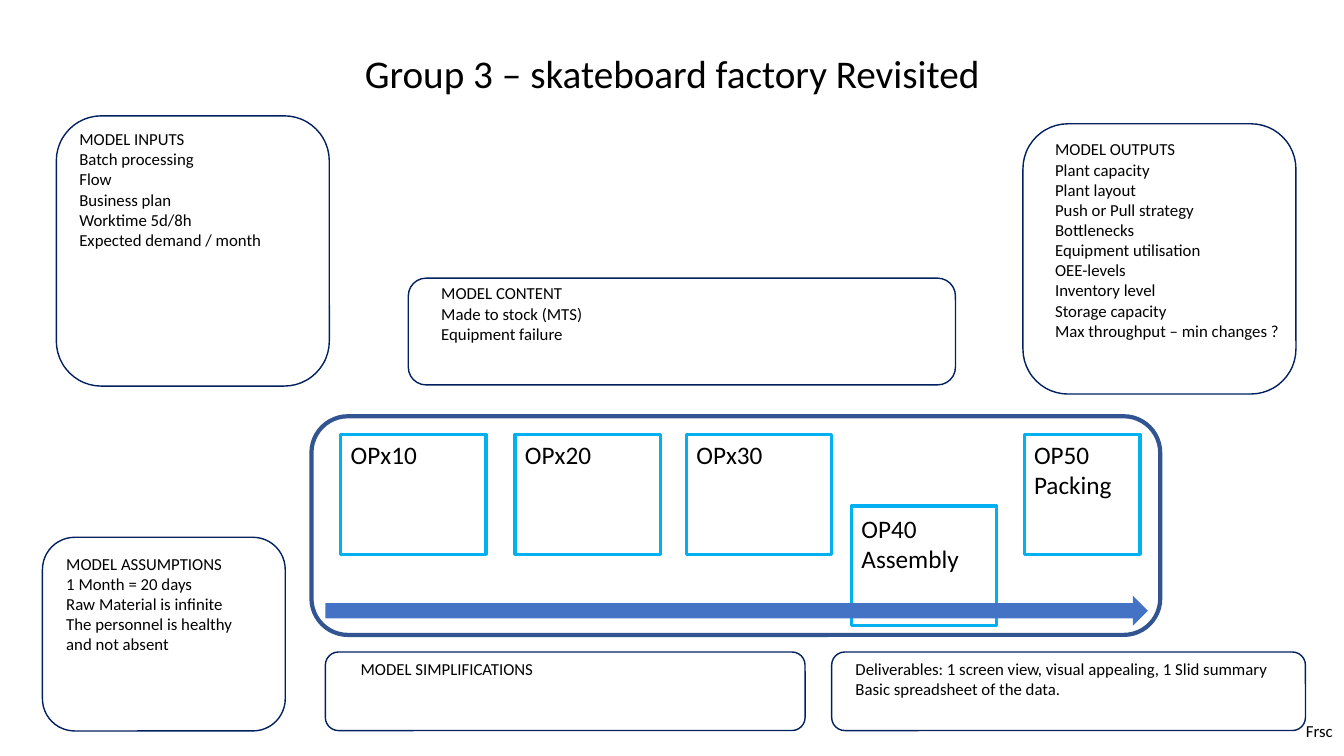
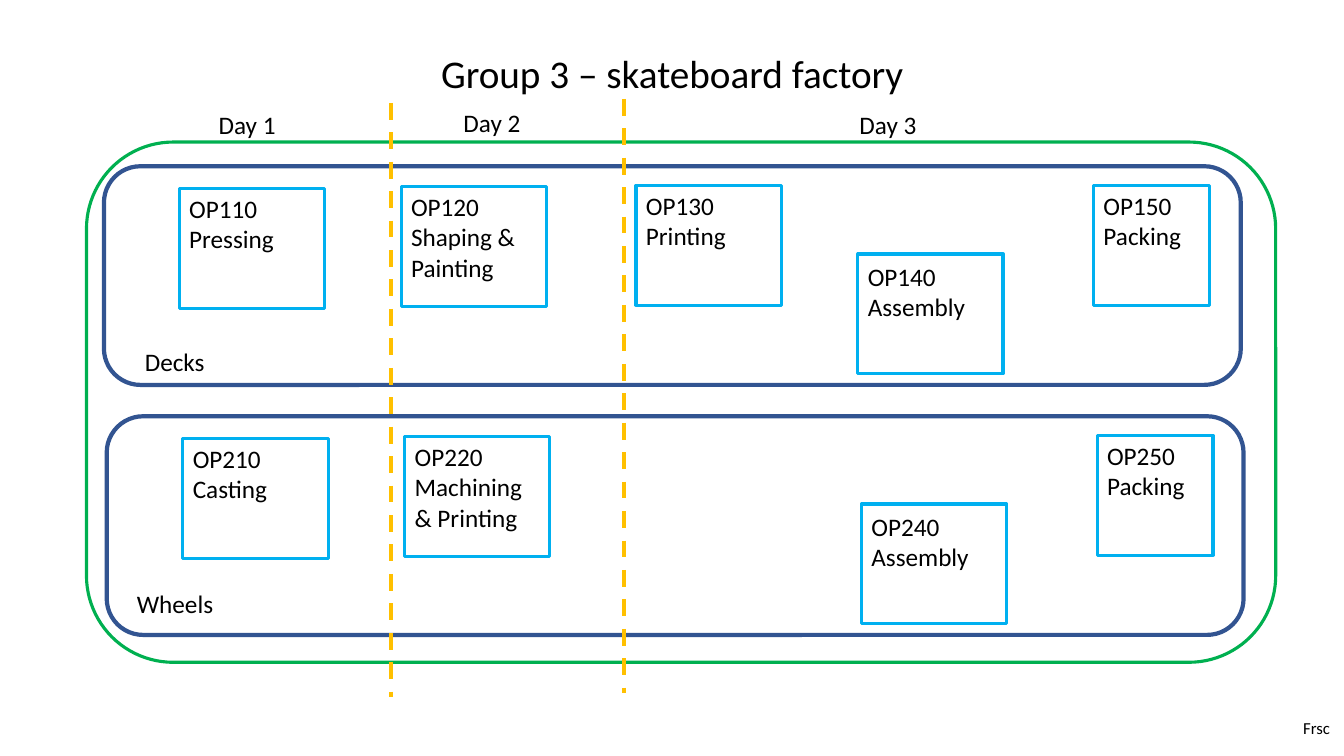
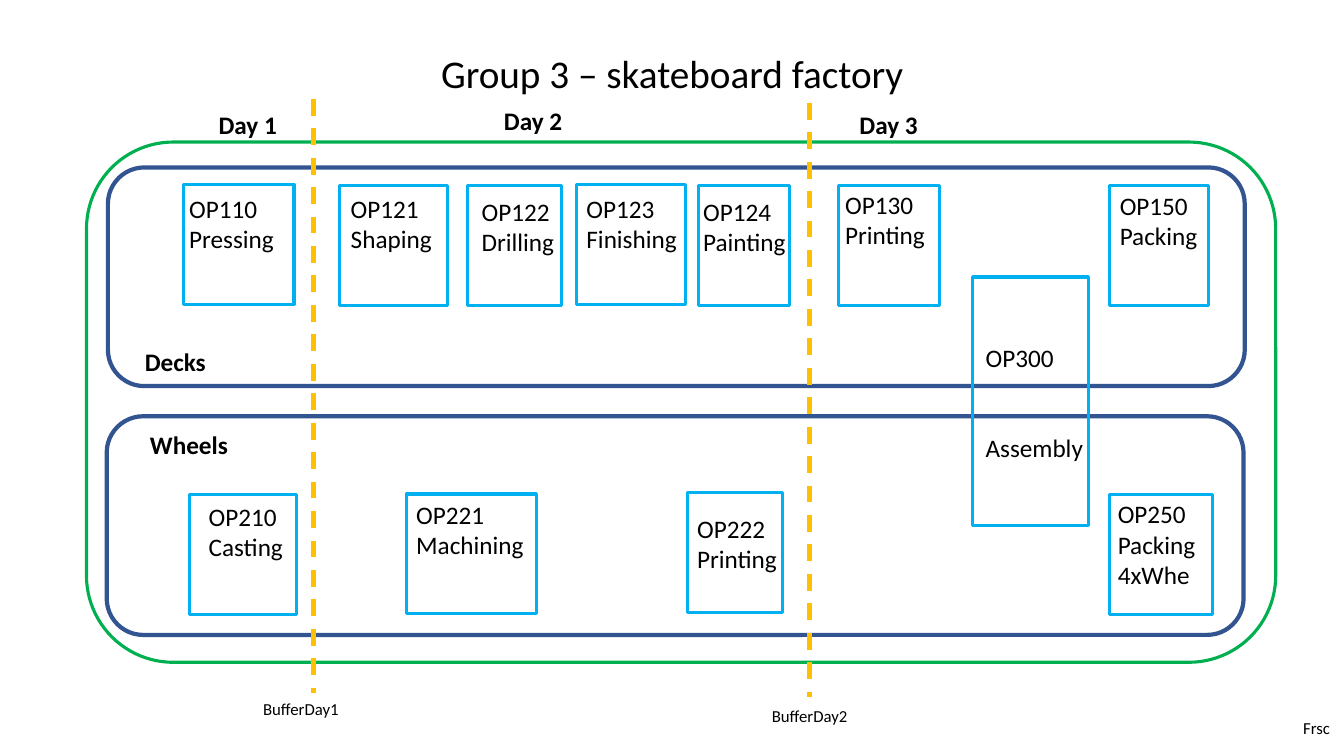
"""Build three slides on the skateboard factory: model, first plan, refined plan."""
from pptx import Presentation
from pptx import util as u
from pptx.dml.color import RGBColor
from pptx.enum import dml, shapes, text
from pptx.oxml.ns import qn
from lxml import etree

HUES = {"ink": "000000", "band": "325491", "step": "00B0F0", "panel": "002060",
        "plant": "00B050", "day": "FFC000", "flow": "4472C4"}
KIND = shapes.MSO_SHAPE
FONT = "Calibri"
HIGH = 3.02
DEEP = 5.51
TITLE = (4.24, 1.24, 25.4, 1.32)
PLANT = (2.18, 3.58, 29.97, 13.11)
WIDE = 28.65
REACH = 14.98
SHIFT = (0.09, 6.3)

MODEL = {
    "title": "Group 3 – skateboard factory Revisited",
    "band": (7.85, 10.49, 21.39, DEEP),
    "flow": (8.2, 15.01, 20.73, 0.76),
    "foot": ("Frsc", 32.66, 18.03, 1.3),
}
STEPS = [
    ("OPx10", 8.59, 10.95, 3.66, 0),
    ("OPx20", 12.98, 10.95, 3.66, 0),
    ("OPx30", 17.3, 10.95, 3.66, 0),
    ("OP40\vAssembly", 21.46, 12.75, 3.66, 0.05),
    ("OP50\vPacking", 25.81, 10.95, 2.92, 0),
]
PANELS = [
    ((1.42, 2.92, 6.88, 6.81), (1.75, 3.12, 6.17),
     ["MODEL INPUTS", "Batch processing", "Flow", "Business plan",
      "Worktime 5d/8h", "Expected demand / month"]),
    ((8.2, 16.43, 12.09, 1.98), (8.84, 16.48, 6.17), ["MODEL SIMPLIFICATIONS"]),
    ((1.07, 13.54, 6.12, 4.88), (1.42, 13.82, 5.21),
     ["MODEL ASSUMPTIONS", "1 Month = 20 days", "Raw Material is infinite",
      "The personnel is healthy and not absent"]),
    ((10.29, 7.01, 13.79, 2.69), (10.87, 7.01, 6.17),
     ["MODEL CONTENT", "Made to stock (MTS)", "Equipment failure"]),
    ((25.78, 3.12, 6.88, 6.81), (26.34, 3.38, 6.17),
     ["MODEL OUTPUTS", "Plant capacity", "Plant layout", "Push or Pull strategy",
      "Bottlenecks", "Equipment utilisation", "OEE-levels", "Inventory level",
      "Storage capacity", "Max throughput – min changes ?"]),
    ((20.96, 16.43, 11.94, 1.98), (21.31, 16.48, 11.2),
     ["Deliverables: 1 screen view, visual appealing, 1 Slid summary",
      "Basic spreadsheet of the data."]),
]

PLAN = "Group 3 – skateboard factory"
FOOT = ("Frsc", 32.59, 17.96, 1.3)
PAIRS = [
    ("OP110\vPressing", "OP210\vCasting", 4.52, 4.75, 3.66, 0),
    ("OP120\vShaping & Painting", "OP220\vMachining & Printing", 10.11, 4.7, 3.66, 0),
    ("OP130\nPrinting", None, 16.03, 4.67, 3.66, 0),
    ("OP140\vAssembly", "OP240\vAssembly", 21.62, 6.4, 3.66, 0.05),
    ("OP150\vPacking", "OP250\vPacking", 27.56, 4.67, 2.92, 0),
]
FIRST = {
    "bands": [(2.62, 4.19), (2.69, 10.49)],
    "days": [(9.86, 2.59), (15.72, 2.49)],
    "tags": [("Decks", 3.4, 8.59, 2.06), ("Wheels", 3.2, 14.71, 2.54),
             ("Day 1", 5.26, 2.62, 2.06), ("Day 2", 11.43, 2.57, 2.06),
             ("Day 3", 21.41, 2.64, 2.06)],
    "bold": False,
    "notes": [FOOT],
}
NEXT = {
    "bands": [(2.72, 4.22), (2.69, 10.49)],
    "days": [(7.9, 2.49), (20.4, 2.59)],
    "tags": [("Decks", 3.4, 8.59, 2.06), ("Wheels", 3.53, 10.69, 2.54),
             ("Day 1", 5.26, 2.62, 2.06), ("Day 2", 12.45, 2.54, 2.06),
             ("Day 3", 21.41, 2.64, 2.06)],
    "bold": True,
    "notes": [("BufferDay1", 6.38, 17.48, 3.33), ("BufferDay2", 19.2, 17.65, 3.33), FOOT],
}
SPLIT = [
    ("OP110\vPressing", (4.62, 4.65, 2.79, HIGH), (-0.1, 0.1, 2.79)),
    ("OP121\vShaping", (8.56, 4.67, 2.72, HIGH), (0.03, 0.08, 3)),
    ("OP122\vDrilling", (11.79, 4.67, 2.36, HIGH), (0.1, 0.15, 2.9)),
    ("OP123\vFinishing", (14.53, 4.65, 2.74, HIGH), (0, 0.1, 2.9)),
    ("OP124\vPainting", (17.6, 4.67, 2.29, HIGH), (-0.13, 0.15, 3)),
    ("OP130\nPrinting", (21.13, 4.67, 2.54, HIGH), (-0.08, -0.03, 2.92)),
    ("OP150\vPacking", (27.97, 4.67, 2.49, HIGH), (0, 0, 2.49)),
    ("OP210\vCasting", (4.78, 12.47, 2.69, HIGH), (0.23, 0.03, 2.69)),
    ("OP221\vMachining", (10.24, 12.45, 3.28, HIGH), (0, 0, 3.28)),
    ("OP222\vPrinting", (17.32, 12.42, 2.41, HIGH), (0, 0.38, 3.02)),
    ("OP250\vPacking\n4xWhe", (27.97, 12.47, 2.59, HIGH), (-0.05, -0.03, 2.59)),
]
JOIN = ("OP300\nAssembly", (24.51, 6.98, 2.92, 6.27), (0.08, 1.52, 3.35))


def dress(item, looks):
    for name, value in looks.items():
        setattr(item, name, value)


def hue(name):
    return RGBColor.from_string(HUES[name])


def cms(*sizes):
    return [u.Cm(size) for size in sizes]


def style(part, size, bold=False):
    dress(part.font, {"name": FONT, "size": u.Pt(size), "bold": bold})
    part.font.color.rgb = hue("ink")


def start(title):
    slide = deck.slides.add_slide(deck.slide_layouts[5])
    head = slide.shapes.title
    dress(head, dict(zip(("left", "top", "width", "height"), cms(*TITLE))))
    frame = head.text_frame
    frame.text = title
    dress(frame, {"vertical_anchor": text.MSO_ANCHOR.BOTTOM,
                  "auto_size": text.MSO_AUTO_SIZE.NONE})
    part = frame.paragraphs[0]
    dress(part, {"alignment": text.PP_ALIGN.CENTER, "line_spacing": 0.9})
    style(part, 28)
    return slide


def frame_box(slide, at, color, width, kind=KIND.ROUNDED_RECTANGLE):
    box = slide.shapes.add_shape(kind, *cms(*at))
    box.shadow.inherit = False
    box.fill.background()
    box.line.color.rgb = hue(color)
    box.line.width = u.Pt(width)


def write(slide, words, x, y, wide, size=18, bold=False):
    rows = words.count("\n") + words.count("\v") + 1
    high = 0.25 + rows * size * 0.043
    box = slide.shapes.add_textbox(*cms(x, y, wide, high))
    frame = box.text_frame
    frame.text = words
    dress(frame, {"word_wrap": True, "auto_size": text.MSO_AUTO_SIZE.SHAPE_TO_FIT_TEXT})
    for part in frame.paragraphs:
        style(part, size, bold)
    return frame


def step(slide, words, at, shift):
    frame_box(slide, at, "step", 2.25, KIND.RECTANGLE)
    x, y = at[:2]
    dx, dy, wide = shift
    return write(slide, words, x + dx, y + dy, wide)


def day_line(slide, x, y):
    line = slide.shapes.add_connector(shapes.MSO_CONNECTOR.STRAIGHT, *cms(x, y, x, y + REACH))
    line.line.color.rgb = hue("day")
    dress(line.line, {"width": u.Pt(3), "dash_style": dml.MSO_LINE.DASH})
    etree.SubElement(line._element.spPr, qn("a:effectLst"))


def plan(facts):
    slide = start(PLAN)
    for x, y in facts["bands"]:
        frame_box(slide, (x, y, WIDE, DEEP), "band", 3)
    frame_box(slide, PLANT, "plant", 2.25)
    for spot in facts["days"]:
        day_line(slide, *spot)
    for tag in facts["tags"]:
        write(slide, *tag, bold=facts["bold"])
    for note in facts["notes"]:
        write(slide, *note, size=12)
    return slide


def model():
    slide = start(MODEL["title"])
    frame_box(slide, MODEL["band"], "band", 3)
    for words, x, y, wide, dy in STEPS:
        step(slide, words, (x, y, wide, HIGH), (0, dy, wide))
    flow = slide.shapes.add_shape(KIND.RIGHT_ARROW, *cms(*MODEL["flow"]))
    flow.shadow.inherit = False
    flow.fill.solid()
    flow.fill.fore_color.rgb = hue("flow")
    flow.line.fill.background()
    for at, spot, rows in PANELS:
        frame_box(slide, at, "panel", 1)
        write(slide, "\n".join(rows), *spot, size=12)
    write(slide, *MODEL["foot"], size=12)


def first():
    slide = plan(FIRST)
    for top, low, x, y, wide, dy in PAIRS:
        step(slide, top, (x, y, wide, HIGH), (0, dy, wide))
        if low:
            step(slide, low, (x + SHIFT[0], y + SHIFT[1], wide, HIGH), (0, dy, wide))


def refined():
    slide = plan(NEXT)
    for item in SPLIT:
        step(slide, *item)
    step(slide, *JOIN).paragraphs[1].space_before = u.Pt(43)


deck = Presentation()
dress(deck, {"slide_width": u.Cm(33.87), "slide_height": u.Cm(19.05)})
model()
first()
refined()
deck.save("out.pptx")
